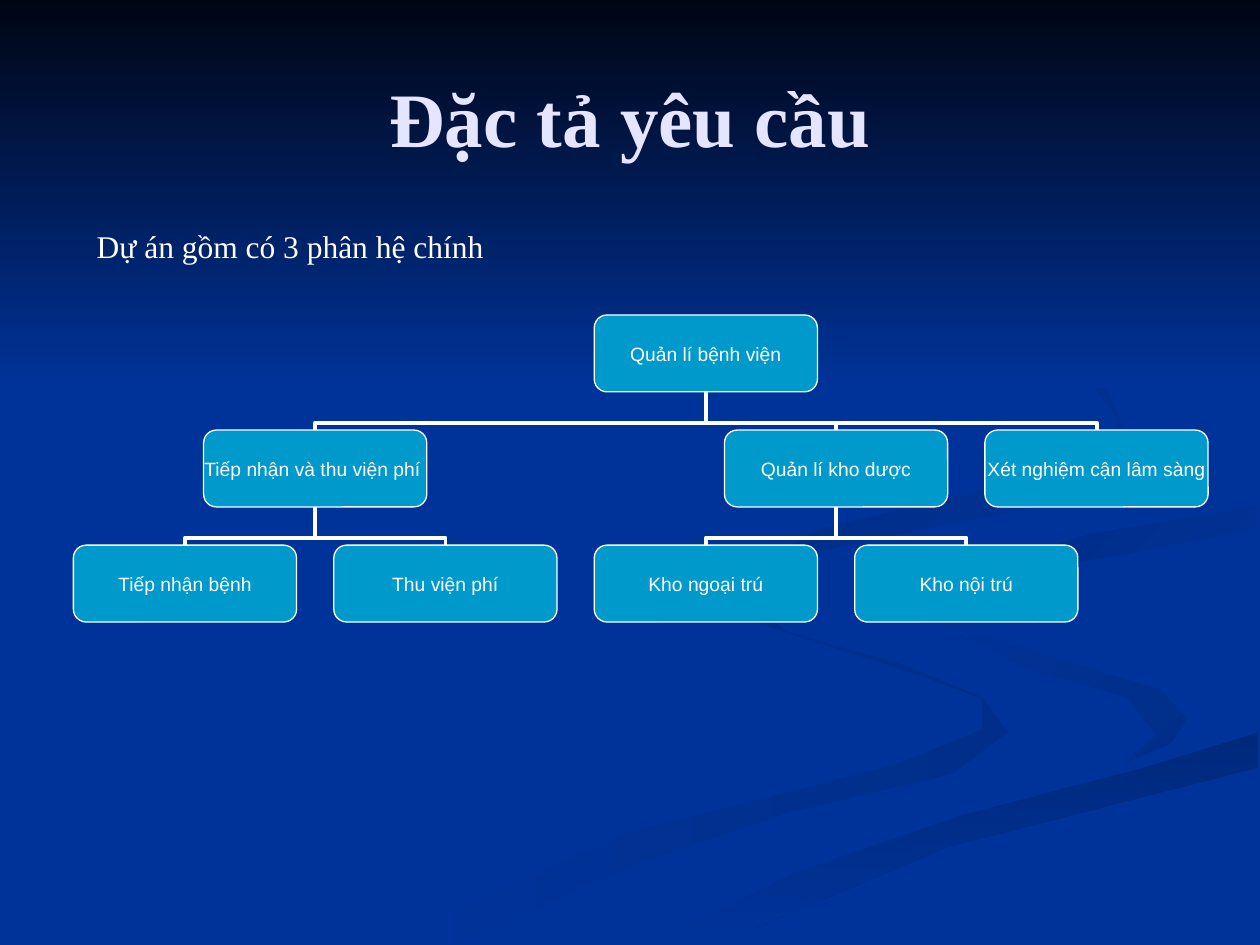
from lxml import etree
from pptx import Presentation
from pptx.dml.color import RGBColor
from pptx.enum.shapes import MSO_CONNECTOR as LINK, MSO_SHAPE as SHAPE
from pptx.enum.text import MSO_ANCHOR as ANCHOR, PP_ALIGN as ALIGN
from pptx.oxml.ns import qn
from pptx.util import Cm, Pt

BLUE = RGBColor(0x00, 0x33, 0x99)
NIGHT = RGBColor(0x00, 0x05, 0x14)
SHADE = RGBColor(0x00, 0x2E, 0x8A)
DEEP_SHADE = RGBColor(0x00, 0x29, 0x7C)
RIGHT_SHADE = RGBColor(0x00, 0x2C, 0x85)
LOOP_SHADE = RGBColor(0x00, 0x2B, 0x81)
CYAN = RGBColor(0x00, 0x99, 0xCC)
LAVENDER = RGBColor(0xE5, 0xE5, 0xFF)
WHITE = RGBColor(0xFF, 0xFF, 0xFF)

prs = Presentation()
prs.slide_width, prs.slide_height = Cm(25.4), Cm(19.05)
slide = prs.slides.add_slide(prs.slide_layouts[6])
slide.background.fill.solid()
slide.background.fill.fore_color.rgb = BLUE
shapes = slide.shapes


def paint_backdrop(part, start, end, angle):
    """Fill with a two-stop gradient; the angle runs clockwise."""
    part.shadow.inherit = False
    part.line.fill.background()
    part.fill.gradient()
    part.fill.gradient_angle = 360 - angle
    for stop, color, position in zip(part.fill.gradient_stops, (start, end), (0, 1)):
        stop.color.rgb = color
        stop.position = position


def write(part, text, align, anchor, wrap, margins, font):
    frame = part.text_frame
    frame.word_wrap, frame.vertical_anchor = wrap, anchor
    frame.margin_left = frame.margin_right = Cm(margins[0])
    frame.margin_top = frame.margin_bottom = Cm(margins[1])
    paragraph = frame.paragraphs[0]
    paragraph.alignment = align
    run = paragraph.add_run()
    run.text = text
    for key, value in font.items():
        if key == "color":
            run.font.color.rgb = value
        else:
            setattr(run.font, key, value)
    return paragraph


# Backdrop ribbons in cm; neighbouring ribbons share these edges
bend_edge = [(18.4, 11.8), (18.9, 12.45), (21.1, 13.2), (23.4, 13.9),
             (23.95, 14.5), (23.6, 15), (22.7, 15.37)]
low_edge = [(13.2, 18.97), (16, 17.6), (19.4, 16.43), (23, 15.49), (25.37, 14.76)]
right_edge = [(19.84, 11.7), (20.1, 11.35), (22, 10.77), (25.37, 10.2)]
ribbons = [
    (SHADE, BLUE, 180, [
        (19.8, 14.05), (18.2, 13.4), (15.9, 12.75), (14.8, 12.1), (14.6, 11.66),
        (14.5, 11.9), (15.1, 12.5), (18.5, 13.6), (19.8, 14.1), (19.8, 14.7),
        (18.1, 15.4), (12.7, 16.8), (7.62, 19.02), (9.17, 19.02), (12.7, 17.45),
        (15.8, 16.4), (19.2, 15.6), (20.32, 14.76)]),
    (SHADE, BLUE, 225, bend_edge + [
        (23.3, 14.8), (22.7, 14.05), (20.7, 13.46), (18.8, 12.55)]),
    (DEEP_SHADE, BLUE, 90, low_edge + [
        (25.37, 15.47), (19.1, 17.07), (14.5, 19.02), (12.78, 19.02)]),
    (BLUE, BLUE, 90, bend_edge + [(16.8, 17), (12.12, 19.02)] + low_edge + [
        (25.37, 13.67), (22, 12.9), (20, 12)] + right_edge + [
        (25.37, 9.83), (21.6, 10.4), (18.9, 11.15)]),
    (BLUE, RIGHT_SHADE, 225, right_edge + [
        (25.37, 10.67), (21.4, 11.4), (20.45, 12), (20.98, 12.6), (20, 12.04)]),
    (BLUE, LOOP_SHADE, 225, [
        (17.35, 10.92), (21, 10.2), (22.3, 9.6), (22.7, 8.74), (22.2, 7.6),
        (19.35, 5.92), (21.5, 7.1), (22.58, 8.5), (21.9, 9.4), (16.5, 10.67),
        (14.66, 11.73), (15.8, 12.7), (15.06, 11.94), (15.85, 11.28)]),
]
for start, end, angle, outline in ribbons:
    points = [(Cm(x), Cm(y)) for x, y in outline]
    builder = shapes.build_freeform(*points[0])
    builder.add_line_segments(points[1:], close=True)
    paint_backdrop(builder.convert_to_shape(), start, end, angle)

night_sky = shapes.add_shape(SHAPE.RECTANGLE, 0, 0, prs.slide_width, Cm(7.82))
paint_backdrop(night_sky, NIGHT, BLUE, 90)

title = shapes.add_textbox(Cm(1.27), Cm(0.76), Cm(22.86), Cm(3.18))
write(title, "Đặc tả yêu cầu", ALIGN.CENTER, ANCHOR.MIDDLE, True, (0.25, 0.13),
      {"name": "Times New Roman", "size": Pt(44), "bold": True, "color": LAVENDER})

# Organisation chart: name, column, level, parent
units = [
    ("Quản lí bệnh viện", 2, 0, None),
    ("Tiếp nhận và thu viện phí ", 0.5, 1, 0),
    ("Quản lí kho dược", 2.5, 1, 0),
    ("Xét nghiệm cận lâm sàng", 3.5, 1, 0),
    ("Tiếp nhận bệnh", 0, 2, 1),
    ("Thu viện phí", 1, 2, 1),
    ("Kho ngoại trú", 2, 2, 2),
    ("Kho nội trú", 3, 2, 2),
]
LEFT, TOP = 1.48, 6.35
COLUMN_STEP, LEVEL_STEP = 5.25, 2.32
BOX_WIDTH, BOX_HEIGHT = 4.5, 1.55
GAP = LEVEL_STEP - BOX_HEIGHT

for _, column, level, parent in units[:0:-1]:
    parent_column = units[parent][1]
    side = 1 if column > parent_column else -1
    half_run = abs(column - parent_column) * COLUMN_STEP / 2
    middle_x = LEFT + BOX_WIDTH / 2 + (column + parent_column) / 2 * COLUMN_STEP
    middle_y = TOP + level * LEVEL_STEP - GAP / 2
    # Drawn lying down, then turned upright so that it leaves the child vertically
    link = shapes.add_connector(
        LINK.ELBOW, Cm(middle_x - side * GAP / 2), Cm(middle_y + half_run),
        Cm(middle_x + side * GAP / 2), Cm(middle_y - half_run))
    link.line.color.rgb = WHITE
    link.line.width = Pt(2.25)
    properties = link._element.spPr
    properties.find(qn("a:xfrm")).set("rot", str((270 if side > 0 else 90) * 60000))
    adjustments = properties.find(qn("a:prstGeom")).find(qn("a:avLst"))
    etree.SubElement(adjustments, qn("a:gd"), name="adj1", fmla="val 19600")
    etree.SubElement(properties, qn("a:effectLst"))

for name, column, level, _ in units:
    box = shapes.add_shape(
        SHAPE.ROUNDED_RECTANGLE, Cm(LEFT + column * COLUMN_STEP),
        Cm(TOP + level * LEVEL_STEP), Cm(BOX_WIDTH), Cm(BOX_HEIGHT))
    box.shadow.inherit = False
    box.fill.solid()
    box.fill.fore_color.rgb = CYAN
    box.line.color.rgb = WHITE
    box.line.width = Pt(0.75)
    write(box, name, ALIGN.CENTER, ANCHOR.MIDDLE, False, (0, 0),
          {"name": "Arial", "size": Pt(11), "color": WHITE})

intro = shapes.add_textbox(Cm(1.7), Cm(4.45), Cm(9.32), Cm(1.78))
intro_line = write(intro, "Dự án gồm có 3 phân hệ chính", ALIGN.LEFT, ANCHOR.TOP, True,
                   (0.25, 0.13),
                   {"name": "Times New Roman", "size": Pt(18), "color": WHITE})
intro_line.space_before = Pt(11.2)

prs.save("out.pptx")
